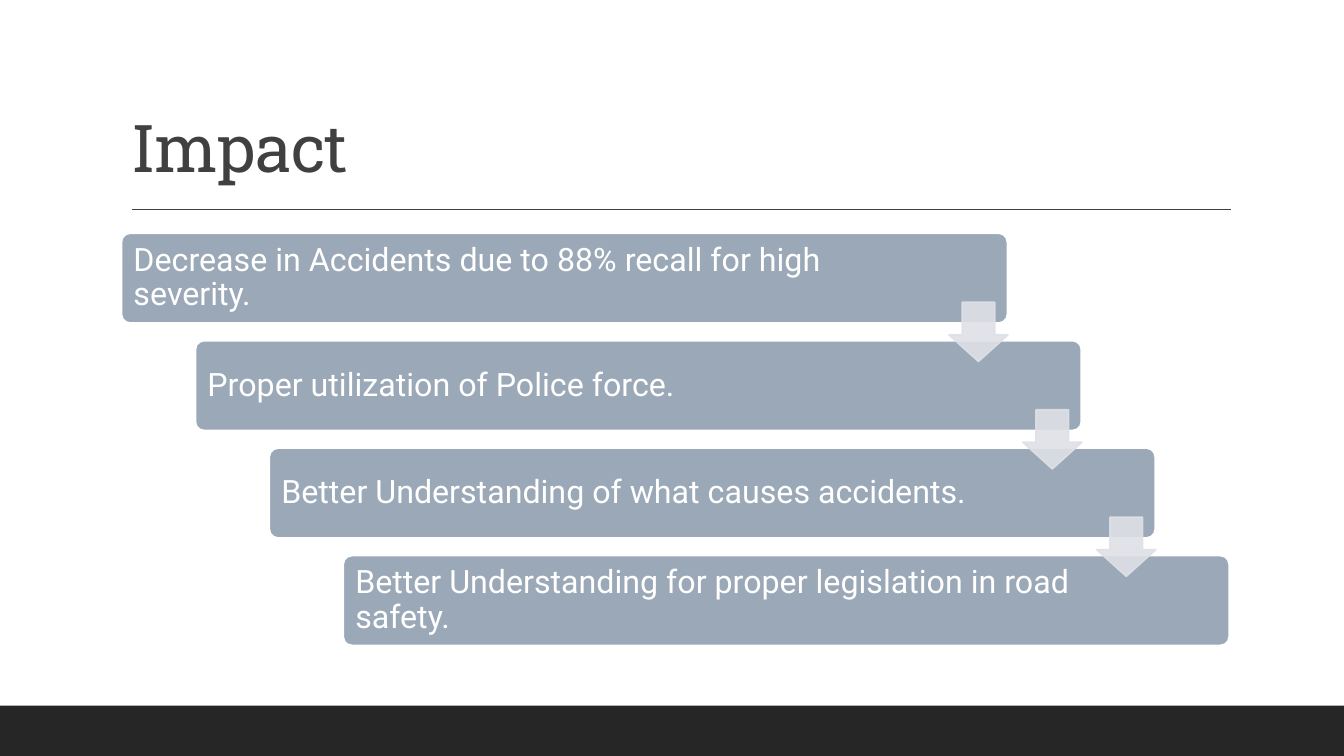
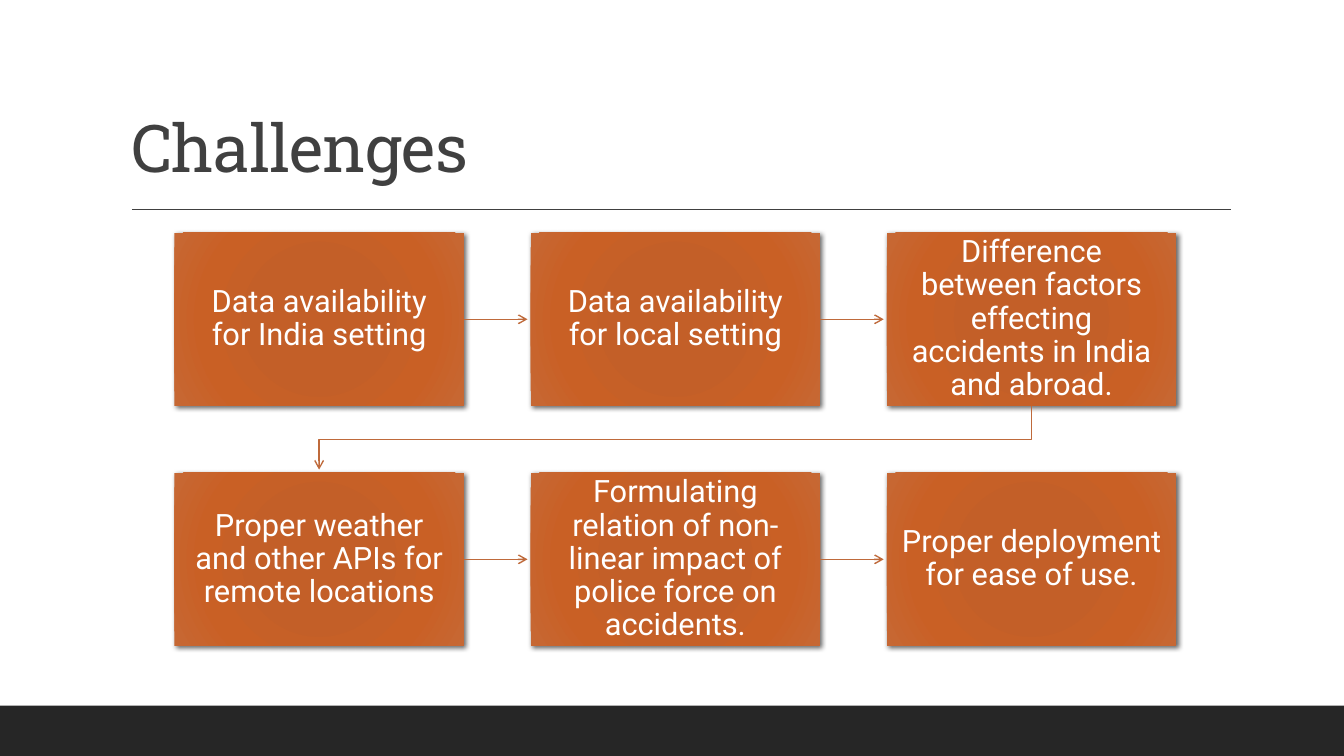
from dataclasses import dataclass

from pptx import Presentation
from pptx import util as u
from pptx.dml import color
from pptx.enum import shapes, text
from pptx.oxml import ns, parse_xml


@dataclass(frozen=True)
class Theme:
    """Colours, fonts and type sizes of the deck."""

    band: str = "262626"
    ink: str = "404040"
    white: str = "FFFFFF"
    step: str = "9BA8B7"
    step_arrow: str = "DEE1E6"
    flow: str = "BF6A3B"
    card_stops: tuple = ((0, "C45D25"), (34, "C35F28"), (70, "C96025"), (100, "C66834"))
    title_font: str = "Roboto Slab"
    body_font: str = "Roboto"
    title_size: float = 47
    step_size: float = 23
    card_size: float = 22
    line_spacing: float = 0.9


@dataclass(frozen=True)
class Box:
    """A rectangle in points."""

    left: float
    top: float
    width: float
    height: float

    @property
    def right(self):
        """Return the right edge."""
        return self.left + self.width

    @property
    def bottom(self):
        """Return the bottom edge."""
        return self.top + self.height

    @property
    def center(self):
        """Return the horizontal middle."""
        return self.left + self.width / 2

    @property
    def middle(self):
        """Return the vertical middle."""
        return self.top + self.height / 2

    def lengths(self):
        """Return left, top, width and height as lengths."""
        return [u.Pt(value) for value in (self.left, self.top, self.width, self.height)]


THEME = Theme()
PAGE = Box(0, 0, 960, 540)
BAND = Box(0, 504, 960, 36)
TITLE = Box(86.4, 22.3, 792, 114.5)
RULE = Box(94.3, 149.8, 784.8, 0)
STEPS = Box(86.4, 166.2, 792, 295.2)
CARDS = Box(124.6, 166.2, 715.6, 295.2)

IMPACTS = (
    "Decrease in Accidents due to 88% recall for high severity.",
    "Proper utilization of Police force.",
    "Better Understanding of what causes accidents.",
    "Better Understanding for proper legislation in road safety.",
)
CHALLENGES = (
    "Data availability for India setting",
    "Data availability for local setting",
    "Difference between factors effecting accidents in India and abroad.",
    "Proper weather and other APIs for remote locations",
    "Formulating relation of non-linear impact of police force on accidents.",
    "Proper deployment for ease of use.",
)


def rgb(code):
    """Return a colour from its hex code."""
    return color.RGBColor.from_string(code)


def add_block(slide, kind, box, fill, line=None, line_width=1):
    """Add a flat preset shape."""
    shape = slide.shapes.add_shape(kind, *box.lengths())
    shape.shadow.inherit = False
    shape.fill.solid()
    shape.fill.fore_color.rgb = rgb(fill)
    if line:
        shape.line.color.rgb = rgb(line)
        shape.line.width = u.Pt(line_width)
    else:
        shape.line.fill.background()
    return shape


def write(shape, words, font, size, ink, align, anchor, insets):
    """Write one paragraph; insets run left, top, right, bottom in points."""
    frame = shape.text_frame
    frame.word_wrap = True
    frame.auto_size = text.MSO_AUTO_SIZE.NONE
    frame.vertical_anchor = anchor
    (frame.margin_left, frame.margin_top,
     frame.margin_right, frame.margin_bottom) = map(u.Pt, insets)
    paragraph = frame.paragraphs[0]
    paragraph.alignment = align
    paragraph.line_spacing = THEME.line_spacing
    run = paragraph.add_run()
    run.text = words
    run.font.name = font
    run.font.size = u.Pt(size)
    run.font.color.rgb = rgb(ink)
    return run


def style_flow(shape):
    """Give a flow line its colour, width and open arrowhead."""
    shape.line.color.rgb = rgb(THEME.flow)
    shape.line.width = u.Pt(1)
    outline = shape.element.spPr.find(ns.qn("a:ln"))
    outline.append(parse_xml(f'<a:tailEnd {ns.nsdecls("a")} type="arrow"/>'))


def flatten(connector):
    """Remove the theme shadow of a connector."""
    connector.element.spPr.append(parse_xml(f'<a:effectLst {ns.nsdecls("a")}/>'))


def add_line(slide, start_x, start_y, end_x, end_y):
    """Add a straight connector without a shadow."""
    return slide.shapes.add_connector(
        shapes.MSO_CONNECTOR.STRAIGHT, *map(u.Pt, (start_x, start_y, end_x, end_y)))


def furnish_layout(slide):
    """Place the footer band and title rule on the layout of the slide."""
    band = add_block(slide, shapes.MSO_SHAPE.RECTANGLE, BAND, THEME.band)
    rule = add_line(slide, RULE.left, RULE.top, RULE.right, RULE.top)
    rule.line.color.rgb = rgb(THEME.ink)
    rule.line.width = u.Pt(1)
    flatten(rule)
    for number, shape in enumerate((band, rule), 20):
        next(shape.element.iter(ns.qn("p:cNvPr"))).set("id", str(number))
        slide.slide_layout.shapes.element.append(shape.element)


def add_titled_slide(presentation, words):
    """Add a title-only slide and format its title."""
    slide = presentation.slides.add_slide(presentation.slide_layouts[5])
    title = slide.shapes.title
    title.left, title.top, title.width, title.height = TITLE.lengths()
    run = write(title, words, THEME.title_font, THEME.title_size, THEME.ink,
                text.PP_ALIGN.LEFT, text.MSO_ANCHOR.BOTTOM, (7.2, 3.6, 7.2, 3.6))
    run._r.get_or_add_rPr().set("spc", "-50")
    return slide


def add_staircase(slide, box, items):
    """Lay steps diagonally across the box, with arrows over their gaps."""
    width, height = box.width * 0.8, box.height * 0.22
    across = (box.width - width) / (len(items) - 1)
    down = (box.height - height) / (len(items) - 1)
    steps = [Box(box.left + index * across, box.top + index * down, width, height)
             for index in range(len(items))]
    for step, words in zip(steps, items):
        shape = add_block(slide, shapes.MSO_SHAPE.ROUNDED_RECTANGLE, step,
                          THEME.step, THEME.white, 2)
        shape.adjustments[0] = 0.1
        write(shape, words, THEME.body_font, THEME.step_size, THEME.white,
              text.PP_ALIGN.LEFT, text.MSO_ANCHOR.MIDDLE, (7.2, 7.2, 102.5, 7.2))
    size = height * 0.65
    for step, following in zip(steps, steps[1:]):
        gap_middle = (step.bottom + following.top) / 2
        place = Box(step.right - size, gap_middle - size / 2, size, size)
        arrow = add_block(slide, shapes.MSO_SHAPE.DOWN_ARROW, place,
                          THEME.step_arrow, THEME.step_arrow, 1.25)
        arrow.adjustments[0], arrow.adjustments[1] = 0.55, 0.45
        for tint in list(arrow.element.spPr.iter(ns.qn("a:srgbClr"))):
            tint.append(parse_xml(f'<a:alpha {ns.nsdecls("a")} val="90000"/>'))


def add_card(slide, box, words):
    """Add a card with a radial gradient and a soft shadow."""
    card = add_block(slide, shapes.MSO_SHAPE.RECTANGLE, box, THEME.card_stops[0][1])
    properties = card.element.spPr
    stops = "".join(f'<a:gs pos="{place * 1000}"><a:srgbClr val="{code}"/></a:gs>'
                    for place, code in THEME.card_stops)
    gradient = parse_xml(
        f'<a:gradFill {ns.nsdecls("a")} rotWithShape="1"><a:gsLst>{stops}</a:gsLst>'
        '<a:path path="circle"><a:fillToRect l="100000" t="100000" r="100000" b="100000"/>'
        '</a:path></a:gradFill>')
    properties.replace(properties.find(ns.qn("a:solidFill")), gradient)
    properties.find(ns.qn("a:effectLst")).append(parse_xml(
        f'<a:outerShdw {ns.nsdecls("a")} blurRad="{u.Pt(3.5)}" dist="{u.Pt(2)}" '
        'dir="2700000" rotWithShape="0"><a:srgbClr val="000000">'
        '<a:alpha val="60000"/></a:srgbClr></a:outerShdw>'))
    write(card, words, THEME.body_font, THEME.card_size, THEME.white,
          text.PP_ALIGN.CENTER, text.MSO_ANCHOR.MIDDLE, (10.1, 10.6, 10.1, 10.6))
    return card


def add_row_turn(slide, start, end, gap, clearance):
    """Lead from the bottom of one card to the top of a card in the next row."""
    turn = start.bottom + gap / 2
    points = [(start.center, turn), (end.center, turn), (end.center, end.top - clearance)]
    builder = slide.shapes.build_freeform(u.Pt(start.center), u.Pt(start.bottom))
    builder.add_line_segments([(u.Pt(x), u.Pt(y)) for x, y in points], close=False)
    path = builder.convert_to_shape()
    path.shadow.inherit = False
    path.fill.background()
    style_flow(path)


def add_card_flow(slide, box, items, columns=3, gap=47.7, clearance=2.2):
    """Fill the box with a grid of cards joined in reading order."""
    rows = len(items) // columns
    width = (box.width - (columns - 1) * gap) / columns
    height = (box.height - (rows - 1) * gap) / rows
    places = [Box(box.left + index % columns * (width + gap),
                  box.top + index // columns * (height + gap), width, height)
              for index in range(len(items))]
    cards = [add_card(slide, place, words) for place, words in zip(places, items)]
    for card, start, end in zip(cards, places, places[1:]):
        if start.top == end.top:
            connector = add_line(slide, start.right, start.middle,
                                 end.left - clearance, end.middle)
            connector.begin_connect(card, 3)
            style_flow(connector)
            flatten(connector)
        else:
            add_row_turn(slide, start, end, gap, clearance)


def main():
    """Build and save the presentation."""
    presentation = Presentation()
    presentation.slide_width = u.Pt(PAGE.width)
    presentation.slide_height = u.Pt(PAGE.height)
    impact = add_titled_slide(presentation, "Impact")
    furnish_layout(impact)
    add_staircase(impact, STEPS, IMPACTS)
    challenges = add_titled_slide(presentation, "Challenges")
    add_card_flow(challenges, CARDS, CHALLENGES)
    presentation.save("out.pptx")


if __name__ == "__main__":
    main()
